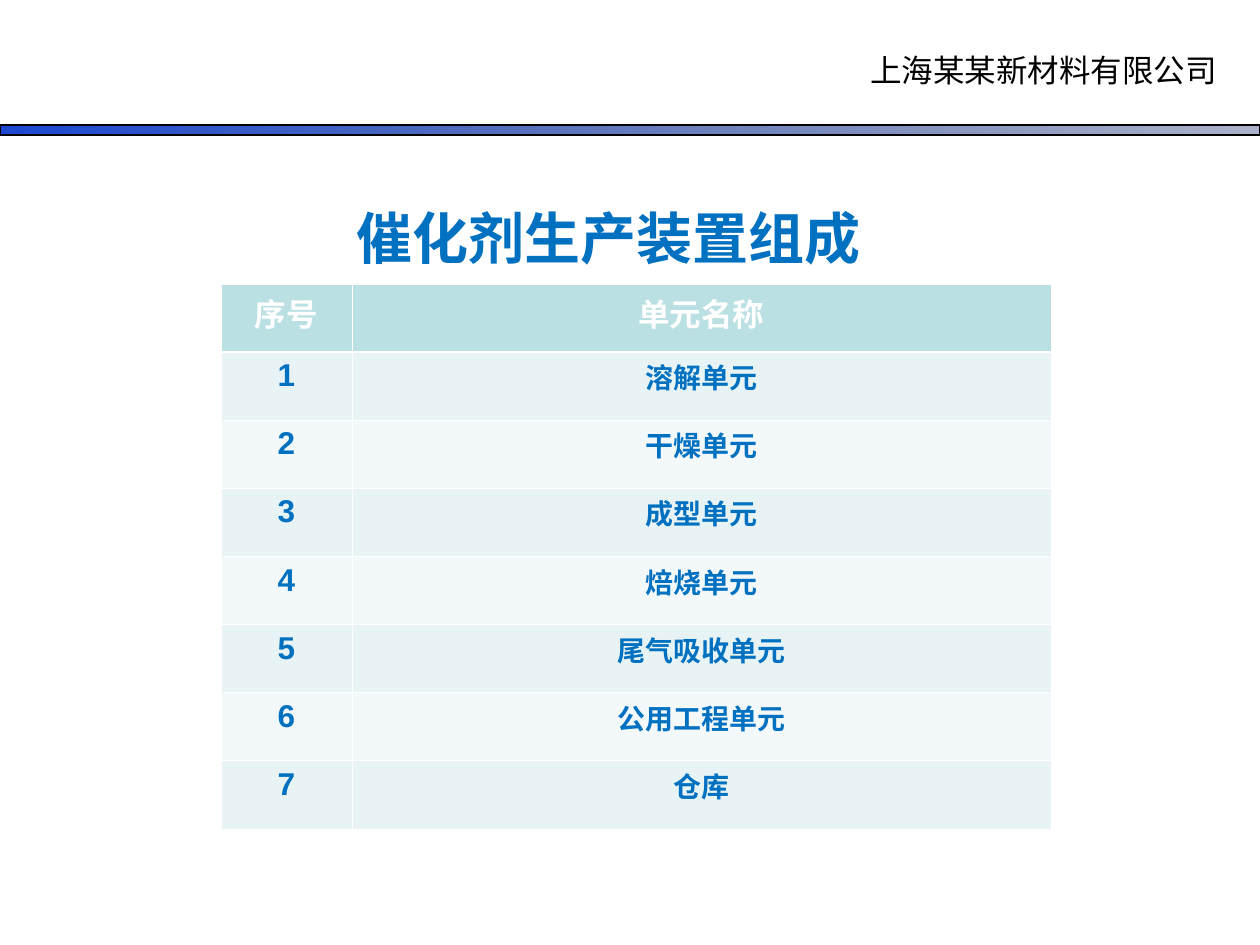
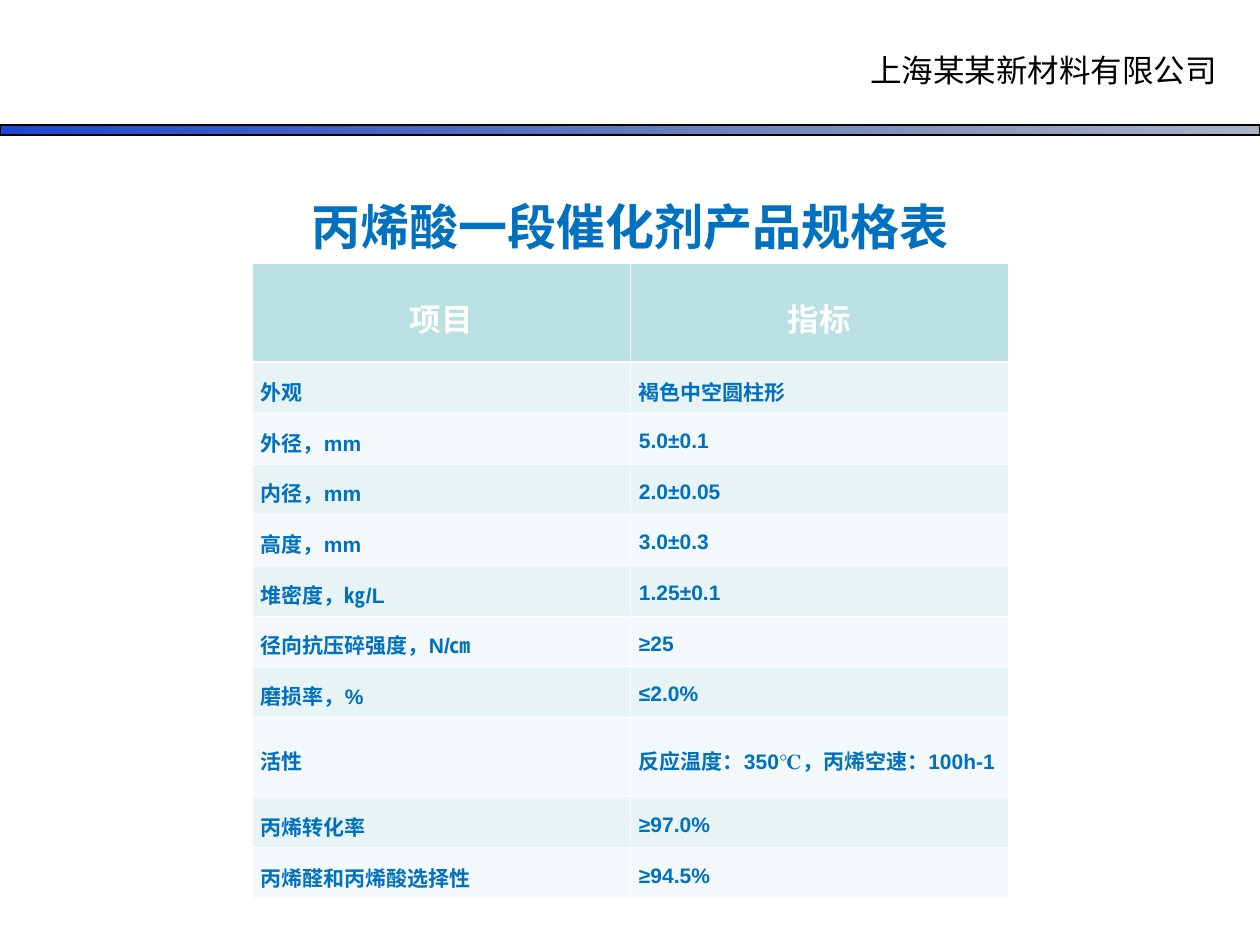
from dataclasses import dataclass
from typing import Any

from lxml.etree import SubElement
from pptx import Presentation
from pptx.dml.color import RGBColor
from pptx.enum.shapes import MSO_SHAPE
from pptx.enum.text import MSO_ANCHOR, PP_ALIGN
from pptx.oxml import parse_xml
from pptx.oxml.ns import nsdecls, qn
from pptx.util import Emu, Pt

PIXEL = 914400 / 126
BLUE = "0070C0"
WHITE = "FFFFFF"
BLACK = "000000"
HEADER_FILL = "BBE0E3"
ROW_FILLS = ("E7F3F4", "F3F9FA")
LATIN = "Arial"
CHINESE = "Noto Sans CJK SC"
SERIF = "Times New Roman"
COMPANY = "上海某某新材料有限公司"


@dataclass
class CellStyle:
    size: int
    align: Any = PP_ALIGN.CENTER
    anchor: Any = MSO_ANCHOR.TOP
    margin: int = 13
    spacing: Any = None


def px(length):
    return Emu(round(length * PIXEL))


def color(value):
    return RGBColor.from_string(value)


class SlideWriter:
    def __init__(self):
        self.deck = Presentation()
        self.deck.slide_width, self.deck.slide_height = px(1260), px(945)
        self.page = None

    def new_page(self):
        self.page = self.deck.slides.add_slide(self.deck.slide_layouts[5])
        self.company_name()
        self.band()

    def span(self, para, text, size, ink, bold=True, latin=LATIN, chinese=CHINESE):
        span = para.add_run()
        span.text = text
        font = span.font
        font.name, font.size, font.bold = latin, Pt(size), bold
        font.color.rgb = color(ink)
        SubElement(font._element, qn("a:ea")).set("typeface", chinese)

    def company_name(self):
        box = self.page.shapes.add_textbox(px(858), px(45), px(377), px(50))
        box.text_frame.word_wrap = True
        self.span(box.text_frame.paragraphs[0], COMPANY, 18, BLACK, bold=False)

    def band(self):
        band = self.page.shapes.add_shape(
            MSO_SHAPE.RECTANGLE, 0, px(125), px(1260), px(10))
        band.shadow.inherit = False
        band.line.color.rgb = color(BLACK)
        band.line.width = Pt(0.75)
        band.fill.gradient()
        band.fill.gradient_angle = 0
        stops = (("0033CC", 90), ("00185E", 33))
        for stop, (shade, opacity) in zip(band.fill.gradient_stops, stops):
            stop.color.rgb = color(shade)
        for tone, (shade, opacity) in zip(band._element.spPr.iter(qn("a:srgbClr")), stops):
            SubElement(tone, qn("a:alpha")).set("val", str(opacity * 1000))

    def title(self, text, left, top, size, latin=LATIN):
        title = self.page.shapes.title
        title.left, title.top = px(left), px(top)
        title.width, title.height = px(1134), px(158)
        title.text_frame.vertical_anchor = MSO_ANCHOR.MIDDLE
        para = title.text_frame.paragraphs[0]
        para.alignment = PP_ALIGN.CENTER
        self.span(para, text, size, BLUE, latin=latin)

    def borders(self, cell, top, bottom):
        widths = {"lnL": 0.45, "lnR": 0.45, "lnT": top, "lnB": bottom}
        for index, (side, width) in enumerate(widths.items()):
            border = parse_xml(
                f'<a:{side} {nsdecls("a")} w="{Pt(width)}"><a:solidFill>'
                f'<a:srgbClr val="{WHITE}"/></a:solidFill></a:{side}>')
            cell._tc.get_or_add_tcPr().insert(index, border)

    def cell(self, cell, text, style, ink, fill):
        cell.fill.solid()
        cell.fill.fore_color.rgb = color(fill)
        cell.margin_left = cell.margin_right = px(style.margin)
        cell.margin_top = cell.margin_bottom = px(6)
        cell.vertical_anchor = style.anchor
        para = cell.text_frame.paragraphs[0]
        para.alignment = style.align
        if style.spacing:
            para.line_spacing = style.spacing
        before, degree, after = text.partition("℃")
        self.span(para, before, style.size, ink)
        if degree:
            self.span(para, degree, style.size, ink, latin=SERIF, chinese=SERIF)
            self.span(para, after, style.size, ink)

    def table(self, left, top, widths, heights, rows, header_style, body_styles):
        table = self.page.shapes.add_table(
            len(rows), len(widths), px(left), px(top),
            px(sum(widths)), px(sum(heights))).table
        for column, width in zip(table.columns, widths):
            column.width = px(width)
        for number, (row, height) in enumerate(zip(rows, heights)):
            table.rows[number].height = px(height)
            header = number == 0
            fill = HEADER_FILL if header else ROW_FILLS[(number - 1) % 2]
            for place, text in enumerate(row):
                cell = table.cell(number, place)
                style = header_style if header else body_styles[place]
                self.cell(cell, text, style, WHITE if header else BLUE, fill)
                self.borders(cell, 1.47 if number == 1 else 0.45, 1.47 if header else 0.45)


def add_units(writer):
    writer.new_page()
    writer.title("催化剂生产装置组成", 42, 158, 32)
    units = ["溶解单元", "干燥单元", "成型单元", "焙烧单元", "尾气吸收单元", "公用工程单元", "仓库"]
    rows = [("序号", "单元名称")]
    rows += [(str(number), unit) for number, unit in enumerate(units, 1)]
    number_style = CellStyle(18)
    unit_style = CellStyle(16, margin=9, spacing=Pt(22))
    writer.table(221, 284, [131, 699], [68, 68, 68, 69] * 2, rows,
                 number_style, [number_style, unit_style])


def add_specification(writer):
    writer.new_page()
    writer.title("丙烯酸一段催化剂产品规格表", 63, 147, 28, latin=CHINESE)
    rows = [
        ("项目", "指标"),
        ("外观", "褐色中空圆柱形"),
        ("外径，mm", "5.0±0.1"),
        ("内径，mm", "2.0±0.05"),
        ("高度，mm", "3.0±0.3"),
        ("堆密度，㎏/L", "1.25±0.1"),
        ("径向抗压碎强度，N/㎝", "≥25"),
        ("磨损率，%", "≤2.0%"),
        ("活性", "反应温度：350℃，丙烯空速：100h-1"),
        ("丙烯转化率", "≥97.0%"),
        ("丙烯醛和丙烯酸选择性", "≥94.5%"),
    ]
    header_style = CellStyle(18, anchor=MSO_ANCHOR.MIDDLE, margin=9, spacing=1.25)
    body_style = CellStyle(12, PP_ALIGN.LEFT, MSO_ANCHOR.MIDDLE, 9, 1.25)
    heights = [99] + [51, 51, 50] * 2 + [51, 80, 51, 51]
    writer.table(252, 263, [378, 378], heights, rows, header_style, [body_style] * 2)


def main():
    writer = SlideWriter()
    add_units(writer)
    add_specification(writer)
    writer.deck.save("out.pptx")


if __name__ == "__main__":
    main()
